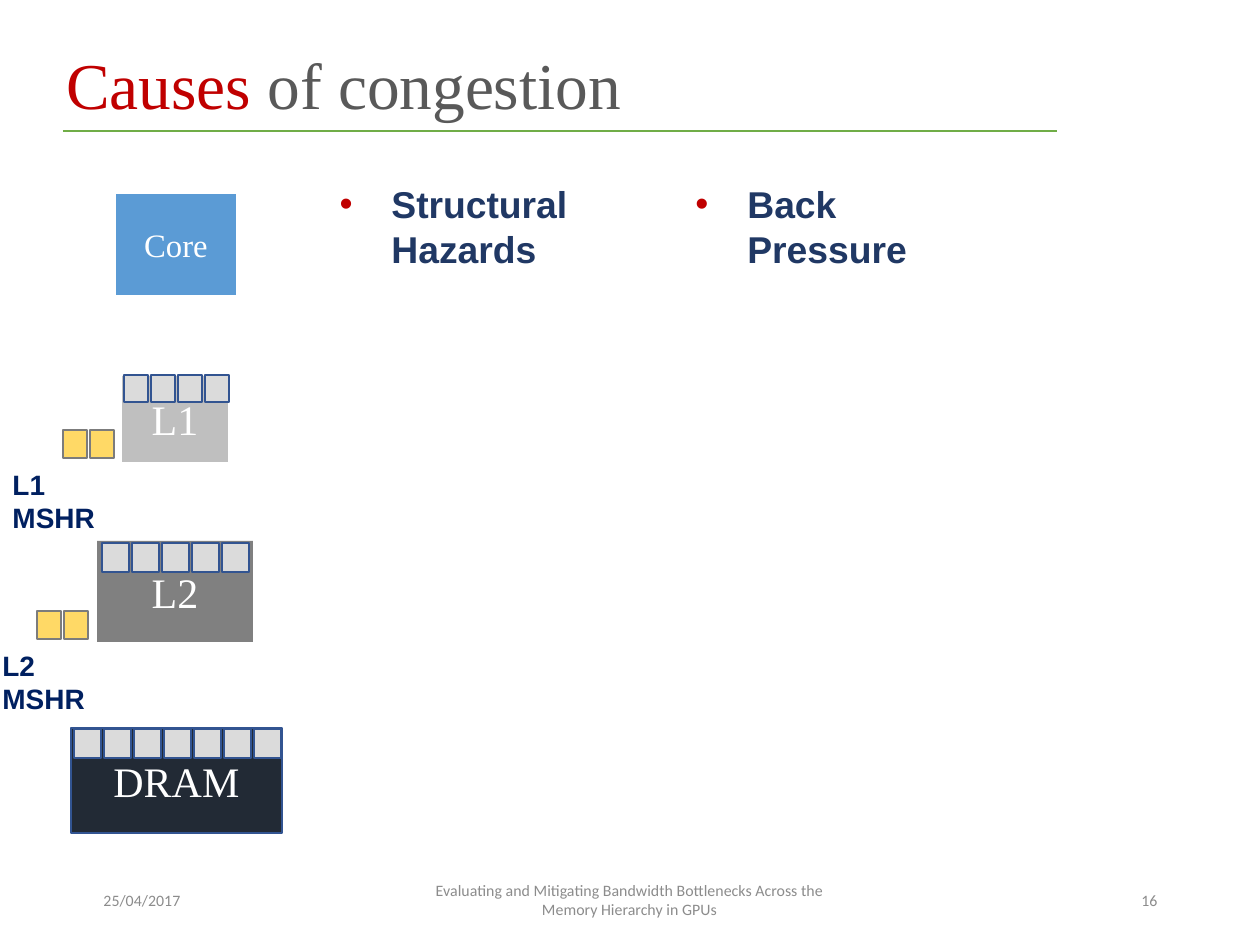
from dataclasses import dataclass
from typing import Optional

import lxml.etree
import pptx
import pptx.dml.color
import pptx.enum.shapes
import pptx.enum.text
import pptx.oxml.ns
import pptx.util

EMU_PER_PX = 914400 / 168
COLORS = {
    "rule": "70AD47", "footer": "8C8C8C", "white": "FFFFFF", "core": "5B9BD5",
    "dram": "222A35", "l2": "808080", "l1": "BFBFBF", "queue": "DBDBDB",
    "queue_edge": "325491", "mshr": "FFD966", "mshr_edge": "7C7C7C",
    "cause": "203864", "mshr_label": "002060", "red": "C00000", "title": "595959",
}
ALIGN = pptx.enum.text.PP_ALIGN
ANCHOR = pptx.enum.text.MSO_ANCHOR


@dataclass(frozen=True)
class Box:
    left: int
    top: int
    width: int
    height: int


@dataclass(frozen=True)
class Run:
    text: str
    size: float
    font: str
    color: str
    bold: bool = False


@dataclass(frozen=True)
class Block:
    box: Box
    label: Run
    fill: str
    edge: Optional[str] = None
    edge_pt: float = 1


@dataclass(frozen=True)
class CellRow:
    first: Box
    pitch: int
    count: int
    fill: str
    edge: str


@dataclass(frozen=True)
class Label:
    box: Box
    runs: tuple[Run, ...]
    align: ALIGN = ALIGN.LEFT
    anchor: ANCHOR = ANCHOR.TOP
    bullet: Optional[str] = None


def footer(box: Box, text: str, align: ALIGN) -> Label:
    return Label(box, (Run(text, 6.8, "Calibri", "footer"),), align, ANCHOR.MIDDLE)


def cause(box: Box, text: str) -> Label:
    return Label(box, (Run(text, 16, "Arial", "cause", True),), bullet="red")


def mshr_label(box: Box, text: str) -> Label:
    return Label(box, (Run(text, 12, "Arial", "mshr_label", True),))


def serif(text: str, size: float, color: str = "white") -> Run:
    return Run(text, size, "Times New Roman", color)


BLOCKS = [
    Block(Box(114, 192, 124, 105), serif("Core", 14), "core", "white", 1.5),
    Block(Box(71, 728, 211, 105), serif("DRAM", 18), "dram", "queue_edge"),
    Block(Box(97, 541, 156, 101), serif("L2", 18), "l2"),
    Block(Box(122, 376, 106, 86), serif("L1", 18), "l1"),
]
CELL_ROWS = [
    CellRow(Box(102, 543, 27, 29), 30, 5, "queue", "queue_edge"),
    CellRow(Box(74, 729, 27, 29), 30, 7, "queue", "queue_edge"),
    CellRow(Box(124, 375, 24, 27), 27, 4, "queue", "queue_edge"),
    CellRow(Box(63, 430, 24, 28), 27, 2, "mshr", "mshr_edge"),
    CellRow(Box(37, 611, 24, 28), 27, 2, "mshr", "mshr_edge"),
]
LABELS = [
    footer(Box(890, 875, 284, 50), "16", ALIGN.RIGHT),
    footer(Box(417, 875, 425, 50), "Evaluating and Mitigating Bandwidth Bottlenecks "
           "Across the Memory Hierarchy in GPUs", ALIGN.CENTER),
    footer(Box(87, 875, 284, 50), "25/04/2017", ALIGN.LEFT),
    cause(Box(239, 173, 442, 108), "Structural Hazards"),
    cause(Box(595, 173, 361, 108), "Back Pressure"),
    mshr_label(Box(-4, 459, 150, 50), "L1 MSHR"),
    mshr_label(Box(-14, 640, 150, 50), "L2 MSHR"),
    Label(Box(50, 35, 1163, 96),
          (serif("Causes", 28, "red"), serif(" of congestion", 28, "title")),
          anchor=ANCHOR.MIDDLE),
]


def px(length: int) -> pptx.util.Emu:
    return pptx.util.Emu(round(length * EMU_PER_PX))


def place(box: Box) -> tuple[pptx.util.Emu, ...]:
    return px(box.left), px(box.top), px(box.width), px(box.height)


def rgb(name: str) -> pptx.dml.color.RGBColor:
    return pptx.dml.color.RGBColor.from_string(COLORS[name])


def add_run(paragraph, run: Run) -> None:
    piece = paragraph.add_run()
    piece.text = run.text
    piece.font.size = pptx.util.Pt(run.size)
    piece.font.name = run.font
    piece.font.bold = run.bold
    piece.font.color.rgb = rgb(run.color)


def add_bullet(paragraph, color: str) -> None:
    qn = pptx.oxml.ns.qn
    props = paragraph._p.get_or_add_pPr()
    props.set("marL", str(px(136)))
    props.set("indent", str(px(-52)))
    tint = lxml.etree.SubElement(props, qn("a:buClr"))
    lxml.etree.SubElement(tint, qn("a:srgbClr"), val=COLORS[color])
    lxml.etree.SubElement(props, qn("a:buFont"), typeface="Arial")
    lxml.etree.SubElement(props, qn("a:buChar"), char="•")


def add_rect(slide, box: Box, fill: str, edge: Optional[str], edge_pt: float = 1):
    rect = slide.shapes.add_shape(pptx.enum.shapes.MSO_SHAPE.RECTANGLE, *place(box))
    rect.shadow.inherit = False
    rect.fill.solid()
    rect.fill.fore_color.rgb = rgb(fill)
    if edge:
        rect.line.color.rgb = rgb(edge)
        rect.line.width = pptx.util.Pt(edge_pt)
    else:
        rect.line.fill.background()
    return rect


def add_block(slide, block: Block) -> None:
    frame = add_rect(slide, block.box, block.fill, block.edge, block.edge_pt).text_frame
    frame.vertical_anchor = ANCHOR.MIDDLE
    frame.paragraphs[0].alignment = ALIGN.CENTER
    add_run(frame.paragraphs[0], block.label)


def add_cells(slide, row: CellRow) -> None:
    first = row.first
    for index in range(row.count):
        cell = Box(first.left + index * row.pitch, first.top, first.width, first.height)
        add_rect(slide, cell, row.fill, row.edge)


def add_label(slide, label: Label) -> None:
    frame = slide.shapes.add_textbox(*place(label.box)).text_frame
    frame.word_wrap = True
    frame.vertical_anchor = label.anchor
    paragraph = frame.paragraphs[0]
    paragraph.alignment = label.align
    if label.bullet:
        add_bullet(paragraph, label.bullet)
    for run in label.runs:
        add_run(paragraph, run)


def add_title_rule(slide) -> None:
    rule = slide.shapes.add_connector(
        pptx.enum.shapes.MSO_CONNECTOR.STRAIGHT, px(63), px(131), px(1057), px(131))
    rule.line.color.rgb = rgb("rule")
    rule.line.width = pptx.util.Pt(1)
    lxml.etree.SubElement(rule._element.spPr, pptx.oxml.ns.qn("a:effectLst"))


def main() -> None:
    deck = pptx.Presentation()
    deck.slide_width, deck.slide_height = px(1260), px(945)
    slide = deck.slides.add_slide(deck.slide_layouts[6])
    add_title_rule(slide)
    for block in BLOCKS:
        add_block(slide, block)
    for row in CELL_ROWS:
        add_cells(slide, row)
    for label in LABELS:
        add_label(slide, label)
    deck.save("out.pptx")


if __name__ == "__main__":
    main()
